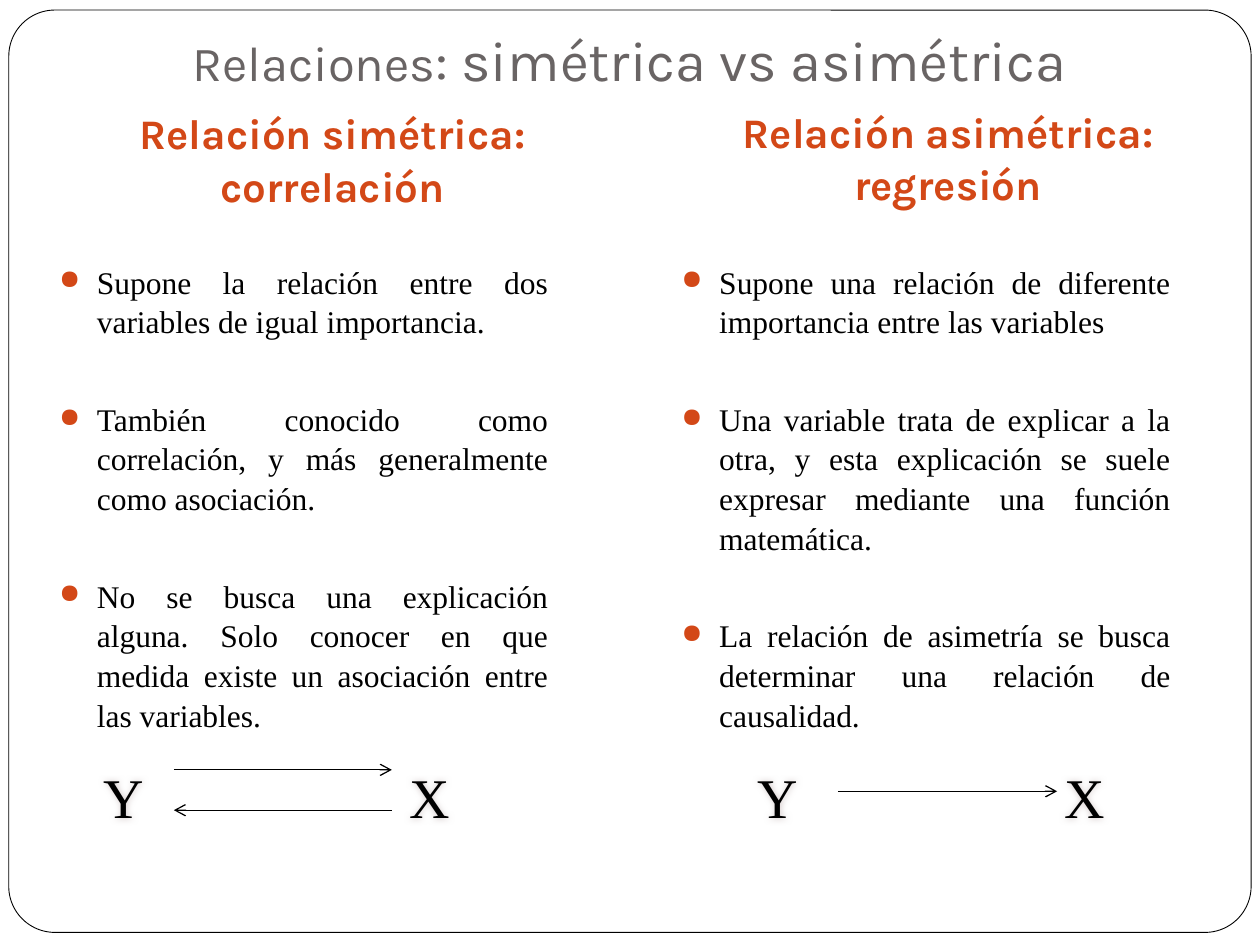
from lxml import etree
from pptx import Presentation
from pptx.dml.color import RGBColor
from pptx.enum import shapes, text
from pptx.oxml.ns import qn
from pptx.util import Inches, Pt

COLORS = {"black": "000000", "white": "FFFFFF", "title": "696464",
          "accent": "D34817", "glow": "D3C9C9"}
SANS, SERIF = "Karla", "Times New Roman"

# Left, width and top of the heading; left of the bullets; heading; bullets
COLUMNS = [
    ((0.28, 1.16, 4.72, 0.56), (0.37, 2.02, 4.08, 3.58),
     "Relación simétrica: correlación",
     ["Supone la relación entre dos variables de igual importancia.",
      "También conocido como correlación, y más generalmente como asociación.",
      "No se busca una explicación alguna. Solo conocer en que medida existe "
      "un asociación entre las variables."]),
    ((5.24, 1.15, 4.57, 0.56), (5.31, 2.02, 4.08, 3.31),
     "Relación asimétrica: regresión",
     ["Supone una relación de diferente importancia entre las variables",
      "Una variable trata de explicar a la otra, y esta explicación se suele "
      "expresar mediante una función matemática.",
      "La relación de asimetría se busca determinar una relación de "
      "causalidad."]),
]
# Letter, left, width, right margin
VARIABLES = [("Y", 0.75, 0.47, 0), ("X", 3.03, 1.18, 0.42),
             ("Y", 5.94, 0.47, 0), ("X", 8.23, 1.18, 0.42)]
# Start x, end x, y
ARROWS = [(1.38, 3.11, 6.11), (3.11, 1.38, 6.43), (6.65, 8.39, 6.28)]


def rgb(name):
    return RGBColor.from_string(COLORS[name])


def child(parent, tag, **attrs):
    return etree.SubElement(parent, qn(tag), attrs)


def style(r, size, font, color, bold=False):
    r.font.size, r.font.name, r.font.bold = Pt(size), font, bold
    r.font.color.rgb = rgb(color)


def add_text(slide, box, anchor=text.MSO_ANCHOR.TOP):
    sp = slide.shapes.add_textbox(*map(Inches, box))
    tf = sp.text_frame
    tf.word_wrap = True
    tf.vertical_anchor = anchor
    return sp, tf


def add_frame(slide):
    sp = slide.shapes.add_shape(shapes.MSO_SHAPE.ROUNDED_RECTANGLE, Inches(0.07),
                                Inches(0.08), Inches(9.86), Inches(7.32))
    sp.adjustments[0] = 0.05
    sp.shadow.inherit = False
    sp.fill.solid()
    sp.fill.fore_color.rgb = rgb("white")
    sp.line.color.rgb = rgb("black")
    sp.line.width = Pt(0.5)
    slide.shapes._spTree.insert(2, sp._element)  # behind the title


def add_title(slide):
    sp = slide.shapes.title
    sp.left, sp.top, sp.width, sp.height = map(Inches, (0.75, 0.14, 8.5, 0.7))
    tf = sp.text_frame
    tf.vertical_anchor = text.MSO_ANCHOR.BOTTOM
    tf.margin_bottom = Inches(0.1)
    p = tf.paragraphs[0]
    p.alignment = text.PP_ALIGN.CENTER
    for words, size in (("Relaciones", 28), (": simétrica vs asimétrica", 32)):
        r = p.add_run()
        r.text = words
        style(r, size, SANS, "title")


def add_heading(slide, box, words):
    _, tf = add_text(slide, box, text.MSO_ANCHOR.BOTTOM)
    p = tf.paragraphs[0]
    p.text = words
    p.alignment = text.PP_ALIGN.CENTER
    p.line_spacing = 1.04
    style(p.runs[0], 24, SANS, "accent", bold=True)


def add_bullets(slide, box, items):
    _, tf = add_text(slide, box)
    for i, item in enumerate(items):
        p = tf.paragraphs[0] if i == 0 else tf.add_paragraph()
        p.text = item
        p.alignment = text.PP_ALIGN.JUSTIFY
        p.line_spacing = 1.05
        p.space_before = Pt(33 if i else 0)
        style(p.runs[0], 18, SERIF, "black")
        pPr = p._p.get_or_add_pPr()
        pPr.set("marL", str(Inches(0.3)))
        pPr.set("indent", str(Inches(-0.3)))
        child(child(pPr, "a:buClr"), "a:srgbClr", val=COLORS["accent"])
        child(pPr, "a:buSzPct", val="85000")
        child(pPr, "a:buChar", char="●")


def add_variable(slide, letter, left, width, right_margin):
    sp, tf = add_text(slide, (left, 5.95, width, 0.64))
    tf.margin_left, tf.margin_right = 0, Inches(right_margin)
    tf.margin_top = Inches(0.1)
    p = tf.paragraphs[0]
    p.text = letter
    p.alignment = text.PP_ALIGN.CENTER
    style(p.runs[0], 32, SERIF, "black")
    # Soft shadow around the letter
    effects = child(sp._element.spPr, "a:effectLst")
    shadow = child(effects, "a:outerShdw", blurRad=str(Pt(4)), dist="0",
                   dir="0", algn="ctr", rotWithShape="0")
    child(shadow, "a:srgbClr", val=COLORS["glow"])


def add_arrow(slide, x1, x2, y):
    line = slide.shapes.add_connector(shapes.MSO_CONNECTOR.STRAIGHT, Inches(x1),
                                      Inches(y), Inches(x2), Inches(y))
    line.line.color.rgb = rgb("black")
    line.line.width = Pt(0.75)
    child(line.line._get_or_add_ln(), "a:tailEnd", type="arrow")
    child(line._element.spPr, "a:effectLst")


def main():
    prs = Presentation()
    prs.slide_width, prs.slide_height = Inches(10), Inches(7.5)
    slide = prs.slides.add_slide(prs.slide_layouts[5])

    # Frame and title
    add_frame(slide)
    add_title(slide)

    # Two columns of text
    for heading_box, bullet_box, heading, items in COLUMNS:
        add_heading(slide, heading_box, heading)
        add_bullets(slide, bullet_box, items)

    # Diagrams: mutual relation on the left, one-way on the right
    for variable in VARIABLES:
        add_variable(slide, *variable)
    for arrow in ARROWS:
        add_arrow(slide, *arrow)

    prs.save("out.pptx")


if __name__ == "__main__":
    main()
